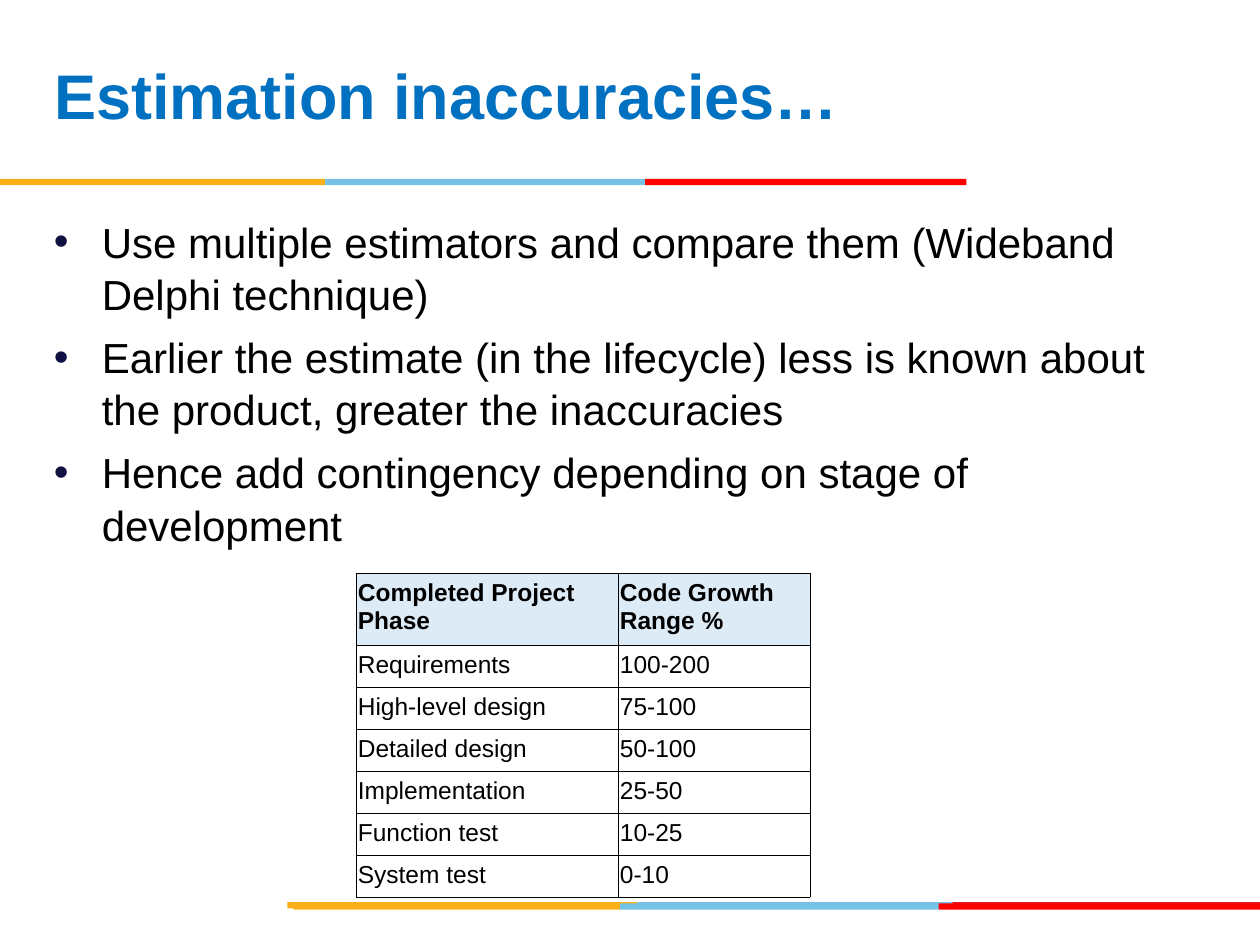
"""Build the slide on estimation inaccuracies with its code growth table."""
from itertools import pairwise

from lxml import etree
from pptx import Presentation
from pptx.dml.color import RGBColor
from pptx.enum.shapes import MSO_SHAPE
from pptx.enum.text import MSO_ANCHOR, MSO_AUTO_SIZE, PP_ALIGN
from pptx.oxml.ns import qn
from pptx.util import Inches, Pt

RECTANGLE = MSO_SHAPE.RECTANGLE
LEFT, TOP, MIDDLE = PP_ALIGN.LEFT, MSO_ANCHOR.TOP, MSO_ANCHOR.MIDDLE
NO_AUTOFIT = MSO_AUTO_SIZE.NONE

WIDTH, HEIGHT = 10, 7.5
MARGIN = 0.33
FONT = "Arial"
COLORS = {
    "title": "0070C0", "text": "000000", "bullet": "101141", "header": "DDEBF7",
    "gold": "FCB017", "sky": "76C2E5", "red": "FF0000", "crimson": "E31C24",
}

TITLE = "Estimation inaccuracies…"
BULLETS = [
    "Use multiple estimators and compare them (Wideband Delphi technique)",
    "Earlier the estimate (in the lifecycle) less is known about the product, "
    "greater the inaccuracies",
    "Hence add contingency depending on stage of development",
]
GROWTH = [
    ("Completed Project Phase", "Code Growth Range %"),
    ("Requirements", "100-200"),
    ("High-level design", "75-100"),
    ("Detailed design", "50-100"),
    ("Implementation", "25-50"),
    ("Function test", "10-25"),
    ("System test", "0-10"),
]
COLUMN_WIDTHS = (2.08, 1.52)
HEADER_HEIGHT, ROW_HEIGHT = 0.56, 0.32
STRIPE_HEIGHT = 0.05
STRIPES = [
    (7.16, (2.28, 5.06, 7.56, WIDTH), ("gold", "sky", "crimson")),
    (7.17, (2.33, 4.92, 7.45, WIDTH), ("gold", "sky", "red")),
    (1.42, (0, 2.58, 5.12, 7.67), ("gold", "sky", "red")),
]


def color(name):
    return RGBColor.from_string(COLORS[name])


def place(shape, left, top, width, height):
    shape.left, shape.top = Inches(left), Inches(top)
    shape.width, shape.height = Inches(width), Inches(height)


def add_text(para, text, size, color_name="text", bold=False):
    para.alignment = LEFT
    span = para.add_run()
    span.text = text
    span.font.name, span.font.size, span.font.bold = FONT, Pt(size), bold
    span.font.color.rgb = color(color_name)


def add_solid_color(parent, tag, color_name):
    holder = etree.SubElement(parent, qn(tag))
    etree.SubElement(holder, qn("a:srgbClr"), val=COLORS[color_name])


def add_bullet(para):
    properties = para._p.get_or_add_pPr()
    properties.set("marL", str(Inches(0.38)))
    properties.set("indent", str(-Inches(0.38)))
    add_solid_color(properties, "a:buClr", "bullet")
    etree.SubElement(properties, qn("a:buFont"), typeface=FONT)
    etree.SubElement(properties, qn("a:buChar"), char="•")


def add_borders(cell):
    properties = cell._tc.get_or_add_tcPr()
    for side in "LRTB":
        line = etree.SubElement(properties, qn(f"a:ln{side}"), w=str(Pt(0.25)))
        add_solid_color(line, "a:solidFill", "text")


def add_stripes(page):
    for top, edges, names in STRIPES:
        for (start, end), name in zip(pairwise(edges), names):
            stripe = page.shapes.add_shape(RECTANGLE, 0, 0, 0, 0)
            place(stripe, start, top, end - start, STRIPE_HEIGHT)
            stripe.shadow.inherit = False
            stripe.fill.solid()
            stripe.fill.fore_color.rgb = color(name)
            stripe.line.fill.background()


def add_title(page):
    title = page.shapes.title
    place(title, MARGIN, 0.17, 6.92, 1.25)
    frame = title.text_frame
    frame.auto_size, frame.vertical_anchor = NO_AUTOFIT, MIDDLE
    para = frame.paragraphs[0]
    para.line_spacing = Pt(36)
    add_text(para, TITLE, 36, "title", True)


def add_bullets(page):
    box = page.shapes.add_textbox(0, 0, 0, 0)
    place(box, MARGIN, 1.63, 9, 4.95)
    frame = box.text_frame
    frame.word_wrap, frame.vertical_anchor = True, TOP
    frame.margin_top = Inches(0.07)
    for index, text in enumerate(BULLETS):
        para = frame.add_paragraph() if index else frame.paragraphs[0]
        add_bullet(para)
        para.line_spacing = 1.04
        para.space_before = Pt(6 if index else 0)
        add_text(para, text, 24)


def add_growth_table(page):
    height = HEADER_HEIGHT + ROW_HEIGHT * (len(GROWTH) - 1)
    table = page.shapes.add_table(
        len(GROWTH), len(COLUMN_WIDTHS), Inches(2.83), Inches(4.55),
        Inches(sum(COLUMN_WIDTHS)), Inches(height)).table
    table.horz_banding = False
    for column, width in zip(table.columns, COLUMN_WIDTHS):
        column.width = Inches(width)
    for index, (row, texts) in enumerate(zip(table.rows, GROWTH)):
        is_header = index == 0
        row.height = Inches(HEADER_HEIGHT if is_header else ROW_HEIGHT)
        for cell, text in zip(row.cells, texts):
            cell.margin_left = cell.margin_right = Inches(0.01)
            cell.margin_top = cell.margin_bottom = Inches(0.05)
            add_borders(cell)
            if is_header:
                cell.fill.solid()
                cell.fill.fore_color.rgb = color("header")
            else:
                cell.fill.background()
            add_text(cell.text_frame.paragraphs[0], text, 14, bold=is_header)


def main():
    deck = Presentation()
    deck.slide_width, deck.slide_height = Inches(WIDTH), Inches(HEIGHT)
    page = deck.slides.add_slide(deck.slide_layouts[5])
    add_stripes(page)
    add_title(page)
    add_bullets(page)
    add_growth_table(page)
    deck.save("out.pptx")


if __name__ == "__main__":
    main()
